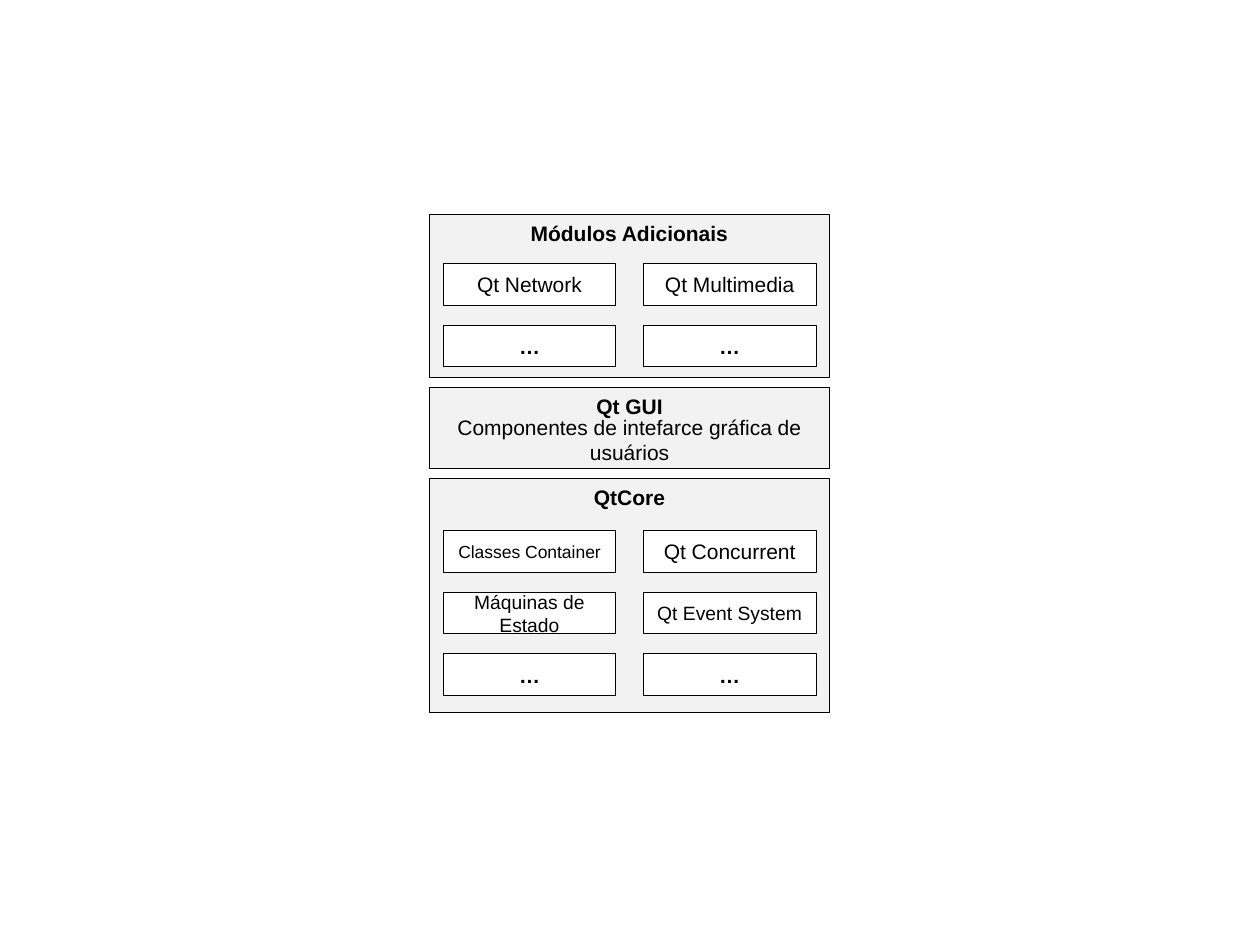
from pptx import Presentation
from pptx.dml.color import RGBColor
from pptx.enum import shapes, text
from pptx.util import Pt

COLORS = {"panel": "F2F2F2", "box": "FFFFFF", "ink": "000000"}
PANEL_X, PANEL_W = 245.4, 228.6
BOX_X, BOX_W, BOX_H = 253.3, 98.6, 23.8
COL_STEP, ROW_STEP = 114.4, 35.3

# top, height, title, top of first row, rows of (label, size, bold)
MORE = ("…", 12, True)
PANELS = [
    (122.4, 93.4, "Módulos Adicionais", 150.5, [
        [("Qt Network", 12, False), ("Qt Multimedia", 12, False)],
        [MORE, MORE]]),
    (221.5, 46.2, "Qt GUI", None, []),
    (273.4, 133.8, "QtCore", 303.1, [
        [("Classes Container", 10, False), ("Qt Concurrent", 12, False)],
        [("Máquinas de Estado", 11, False), ("Qt Event System", 11, False)],
        [MORE, MORE]]),
]


class Diagram:
    def __init__(self, slide):
        self.group = slide.shapes.add_group_shape()
        self.font = {"name": "Arial"}

    def process(self, box, label, fill, anchor, size=12, bold=False, outline=True):
        """Add a process block with centred text; box is left, top, width, height."""
        sp = self.group.shapes.add_shape(
            shapes.MSO_SHAPE.FLOWCHART_PROCESS, *map(Pt, box))
        sp.shadow.inherit = False
        sp.fill.solid()
        sp.fill.fore_color.rgb = RGBColor.from_string(COLORS[fill])
        if outline:
            sp.line.color.rgb = RGBColor.from_string(COLORS["ink"])
            sp.line.width = Pt(0.5)
        else:
            sp.line.fill.background()
        tf = sp.text_frame
        tf.word_wrap = True
        tf.vertical_anchor = anchor
        p = tf.paragraphs[0]
        p.alignment = text.PP_ALIGN.CENTER
        r = p.add_run()
        r.text = label
        for key, value in {**self.font, "size": Pt(size), "bold": bold}.items():
            setattr(r.font, key, value)
        r.font.color.rgb = RGBColor.from_string(COLORS["ink"])

    def panel(self, top, height, title):
        self.process((PANEL_X, top, PANEL_W, height), title, "panel",
                     text.MSO_ANCHOR.TOP, bold=True)

    def module(self, left, top, label, size, bold):
        self.process((left, top, BOX_W, BOX_H), label, "box",
                     text.MSO_ANCHOR.MIDDLE, size, bold)

    def caption(self, top, label):
        self.process((BOX_X, top, COL_STEP + BOX_W, BOX_H), label, "panel",
                     text.MSO_ANCHOR.MIDDLE, outline=False)


def main():
    prs = Presentation()
    prs.slide_width, prs.slide_height = Pt(720), Pt(540)
    s = prs.slides.add_slide(prs.slide_layouts[6])
    diagram = Diagram(s)
    for top, height, title, first_row, rows in PANELS:
        diagram.panel(top, height, title)
        if not rows:
            diagram.caption(top + 18, "Componentes de intefarce gráfica de usuários")
        for i, row in enumerate(rows):
            for j, module in enumerate(row):
                diagram.module(BOX_X + j * COL_STEP, first_row + i * ROW_STEP, *module)
    prs.save("out.pptx")


if __name__ == "__main__":
    main()
